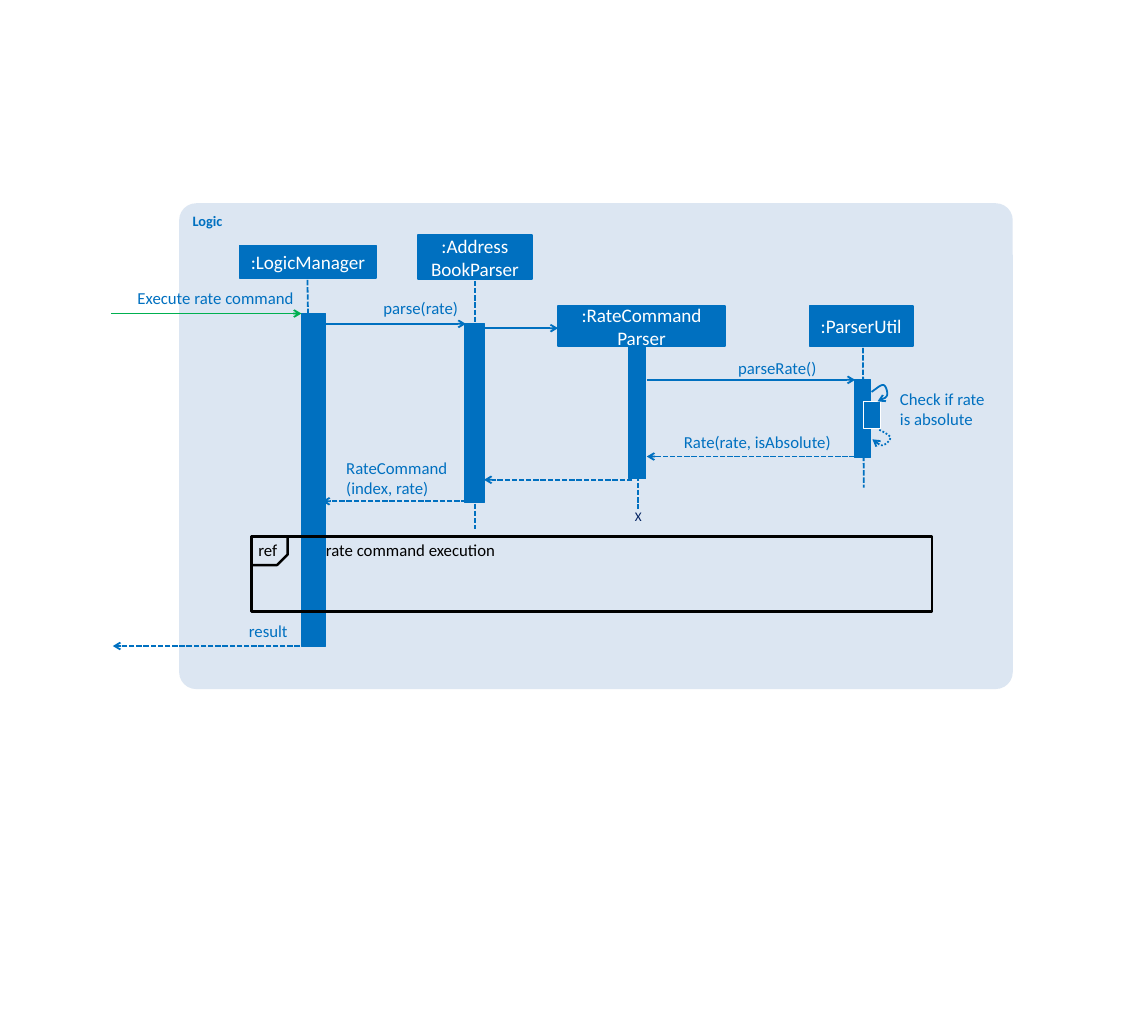
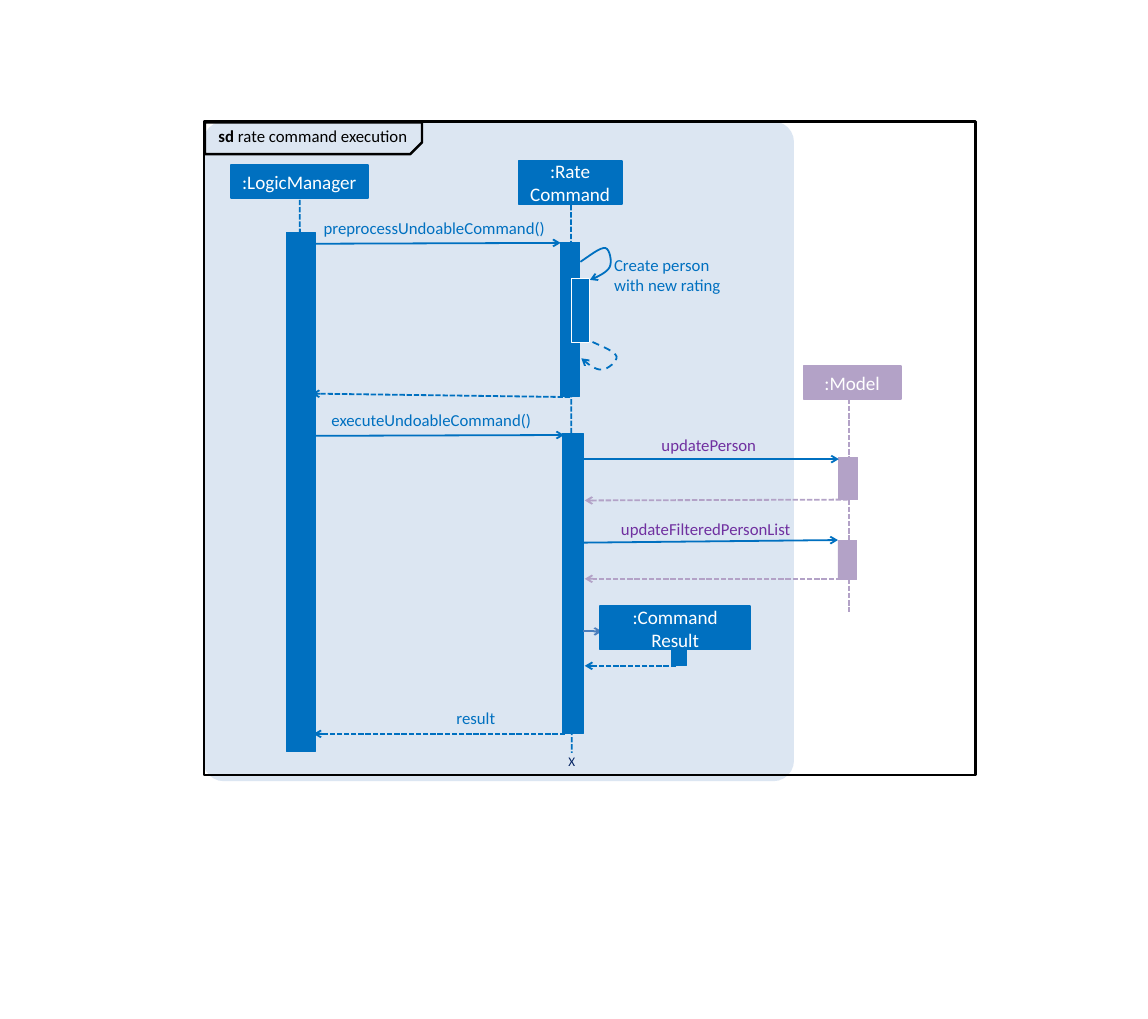
from lxml.etree import SubElement
from pptx import Presentation
from pptx.dml.color import RGBColor
from pptx.enum.dml import MSO_LINE
from pptx.enum.shapes import MSO_CONNECTOR, MSO_SHAPE
from pptx.enum.text import MSO_ANCHOR, PP_ALIGN
from pptx.oxml.ns import qn
from pptx.util import Pt

RECT = MSO_SHAPE.RECTANGLE
ROUND = MSO_SHAPE.ROUNDED_RECTANGLE
SNIP = MSO_SHAPE.SNIP_1_RECTANGLE
STRAIGHT = MSO_CONNECTOR.STRAIGHT
DASH, SHORT, DOT = MSO_LINE.DASH, MSO_LINE.SQUARE_DOT, MSO_LINE.ROUND_DOT
LEFT, MID, RIGHT = PP_ALIGN.LEFT, PP_ALIGN.CENTER, PP_ALIGN.RIGHT
TOP, CENTER = MSO_ANCHOR.TOP, MSO_ANCHOR.MIDDLE

PX = 9144
STEPS = 8
FONT = "Calibri"
BLUE, PALE, NAVY, STEEL = "0070C0", "DCE6F2", "002060", "4B7EBC"
LILAC, PURPLE, GREEN = "B3A2C7", "7030A0", "00B050"
BLACK, WHITE = "000000", "FFFFFF"
hue = RGBColor.from_string


def box(slide, kind, place, fill=None, edge=None, width=1):
    shape = slide.shapes.add_shape(kind, *[n * PX for n in place])
    shape.shadow.inherit = False
    if fill:
        shape.fill.solid()
        shape.fill.fore_color.rgb = hue(fill)
    else:
        shape.fill.background()
    if edge:
        shape.line.color.rgb = hue(edge)
        shape.line.width = Pt(width)
    else:
        shape.line.fill.background()
    return shape


def write(shape, text, color, size, align, anchor=TOP, bold=False):
    frame = shape.text_frame
    frame.text = text
    frame.word_wrap = True
    frame.vertical_anchor = anchor
    for para in frame.paragraphs:
        para.alignment = align
        para.font.name = FONT
        para.font.size = Pt(size)
        para.font.bold = bold
        para.font.color.rgb = hue(color)
    return frame


parse = {
    "panel": (208, 236, 968, 564),
    "title": "Logic",
    "lives": [
        ((357, 325), (364, 750), BLUE),
        ((552, 326), (552, 614), BLUE),
        ((741, 427), (741, 591), BLUE),
        ((1002, 404), (1003, 566), BLUE),
    ],
    "bars": [
        ((350, 364, 28, 386), BLUE, BLUE),
        ((539, 375, 23, 208), BLUE, BLUE),
        ((730, 402, 20, 154), BLUE, BLUE),
        ((992, 441, 19, 90), BLUE, BLUE),
        ((1003, 466, 19, 32), BLUE, WHITE),
    ],
    "heads": [
        ((278, 285, 159, 38), ":LogicManager", BLUE),
        ((485, 273, 133, 51), ":Address\nBookParser", BLUE),
        ((648, 355, 194, 47), ":RateCommand\nParser", BLUE),
        ((940, 355, 120, 47), ":ParserUtil", BLUE),
    ],
    "calls": [
        ([(129, 364), (350, 364)], GREEN, None),
        ([(366, 376), (541, 376)], BLUE, None),
        ([(559, 381), (648, 381)], BLUE, None),
        ([(751, 441), (993, 441)], BLUE, None),
        ([(1001, 530), (751, 530)], BLUE, SHORT),
        ([(734, 557), (562, 557)], BLUE, SHORT),
        ([(542, 582), (374, 582)], BLUE, SHORT),
        ([(348, 750), (131, 750)], BLUE, SHORT),
        ([(1012, 455), (1018, 451), (1023, 446), (1026, 447), (1029, 448),
          (1031, 456), (1030, 459), (1029, 462), (1024, 464), (1019, 466)],
         BLUE, None),
        ([(1021, 499), (1027, 502), (1033, 505), (1034, 508), (1034, 511),
          (1028, 517), (1024, 517), (1021, 517), (1017, 513), (1013, 510)],
         BLUE, DOT),
    ],
    "frame": (292, 623, 790, 87),
    "tab": (292, 623, 42, 33),
    "notes": [
        ((119, 334, 222, 24), "Execute rate command", BLUE, RIGHT),
        ((376, 346, 156, 24), "parse(rate)", BLUE, RIGHT),
        ((799, 415, 149, 24), "parseRate()", BLUE, RIGHT),
        ((1045, 451, 103, 47), "Check if rate is absolute", BLUE, LEFT),
        ((794, 501, 215, 24), "Rate(rate, isAbsolute)", BLUE, LEFT),
        ((402, 531, 167, 47), "RateCommand\n(index, rate)", BLUE, LEFT),
        ((266, 721, 68, 24), "result", BLUE, RIGHT),
        ((298, 627, 24, 23), "ref", BLACK, RIGHT),
        ((341, 627, 234, 24), "rate command execution", BLACK, RIGHT),
    ],
    "end": (727, 590, 28, 19),
}

run = {
    "panel": (236, 141, 686, 766),
    "title": "",
    "lives": [
        ((348, 232), (351, 799), BLUE),
        ((663, 238), (664, 874), BLUE),
        ((986, 463), (986, 710), LILAC),
    ],
    "bars": [
        ((333, 270, 33, 603), BLUE, BLUE),
        ((651, 281, 22, 179), BLUE, BLUE),
        ((663, 323, 22, 75), BLUE, WHITE),
        ((653, 503, 24, 348), BLUE, BLUE),
        ((974, 531, 22, 49), LILAC, LILAC),
        ((973, 627, 22, 46), LILAC, LILAC),
        ((780, 754, 17, 19), BLUE, BLUE),
    ],
    "heads": [
        ((268, 192, 159, 38), ":LogicManager", BLUE),
        ((602, 187, 120, 50), ":Rate\vCommand", BLUE),
        ((933, 425, 113, 38), ":Model", LILAC),
        ((697, 704, 174, 50), ":Command Result", BLUE),
    ],
    "calls": [
        ([(357, 283), (651, 282)], BLUE, None),
        ([(662, 461), (362, 457)], BLUE, SHORT),
        ([(361, 506), (655, 505)], BLUE, None),
        ([(675, 533), (974, 533)], BLUE, None),
        ([(985, 580), (679, 581)], LILAC, SHORT),
        ([(675, 630), (973, 627)], BLUE, None),
        ([(985, 672), (679, 672)], LILAC, SHORT),
        ([(677, 733), (699, 733)], STEEL, None),
        ([(785, 773), (679, 773)], BLUE, SHORT),
        ([(656, 852), (364, 852)], BLUE, SHORT),
        ([(674, 304), (686, 296), (697, 287), (703, 288), (708, 289),
          (711, 304), (708, 310), (705, 316), (695, 321), (685, 325)],
         BLUE, None),
        ([(688, 397), (701, 403), (714, 408), (716, 414), (717, 419),
          (706, 429), (699, 429), (692, 430), (683, 423), (675, 416)],
         BLUE, DASH),
    ],
    "frame": (237, 141, 896, 759),
    "tab": (238, 142, 252, 37),
    "notes": [
        ((367, 253, 266, 24), "preprocessUndoableCommand()", BLUE, RIGHT),
        ((713, 296, 139, 47), "Create person with new rating", BLUE, LEFT),
        ((351, 476, 266, 24), "executeUndoableCommand()", BLUE, RIGHT),
        ((722, 505, 156, 24), "updatePerson", PURPLE, RIGHT),
        ((708, 602, 210, 24), "updateFilteredPersonList", PURPLE, RIGHT),
        ((507, 822, 68, 24), "result", BLUE, RIGHT),
        ((187, 146, 286, 24), "sd| rate command execution", BLACK, RIGHT),
    ],
    "end": (650, 875, 28, 19),
}

deck = Presentation()
deck.slide_width = 1333 * PX
deck.slide_height = 1183 * PX

for page in (parse, run):
    slide = deck.slides.add_slide(deck.slide_layouts[6])

    panel = box(slide, ROUND, page["panel"], PALE)
    panel.adjustments[0] = 0.035
    if page["title"]:
        write(panel, page["title"], BLUE, 12, LEFT, bold=True)

    lives = [([a, b], color, SHORT, False) for a, b, color in page["lives"]]
    calls = [(*call, True) for call in page["calls"]]
    bars = page["bars"]
    for points, color, dash, tip in lives + calls:
        if tip and bars:
            for place, fill, edge in bars:
                box(slide, RECT, place, fill, edge, 0.75)
            bars = []
        spots = [(x * PX, y * PX) for x, y in points]
        if len(spots) == 2:
            line = slide.shapes.add_connector(STRAIGHT, *spots[0], *spots[1])
        else:
            curve = []
            for i in range(0, len(spots) - 1, 3):
                for step in range(1, STEPS + 1):
                    t = step / STEPS
                    u = 1 - t
                    parts = (u ** 3, 3 * u * u * t, 3 * u * t * t, t ** 3)
                    curve.append([sum(p * spot[axis] for p, spot in zip(parts, spots[i:i + 4]))
                                  for axis in (0, 1)])
            pen = slide.shapes.build_freeform(*spots[0])
            pen.add_line_segments(curve, close=False)
            line = pen.convert_to_shape()
            line.fill.background()
        line.line.color.rgb = hue(color)
        line.line.width = Pt(1.5)
        if dash:
            line.line.dash_style = dash
        props = line.element.spPr
        if tip:
            SubElement(props.find(qn("a:ln")), qn("a:tailEnd"), type="arrow")
        SubElement(props, qn("a:effectLst"))

    for place, text, color in page["heads"]:
        head = box(slide, RECT, place, color, color, 1.5)
        write(head, text, WHITE, 16, MID, CENTER)

    box(slide, RECT, page["frame"], edge=BLACK, width=2)
    tab = box(slide, SNIP, page["tab"], edge=BLACK, width=2)
    tab.adjustments[0] = 0.373
    tab.rotation = 180
    tab.element.spPr.find(qn("a:xfrm")).set("flipH", "1")

    notes = [(*note, 14) for note in page["notes"]]
    notes.append((page["end"], "X", NAVY, MID, 11))
    for place, text, color, align, size in notes:
        note = slide.shapes.add_textbox(*[n * PX for n in place])
        strong, bar, plain = text.rpartition("|")
        frame = write(note, strong or plain, color, size, align)
        frame.margin_left = frame.margin_right = 0
        frame.margin_top = frame.margin_bottom = 0
        if strong:
            para = frame.paragraphs[0]
            para.runs[0].font.bold = True
            para.add_run().text = plain

deck.save("out.pptx")
